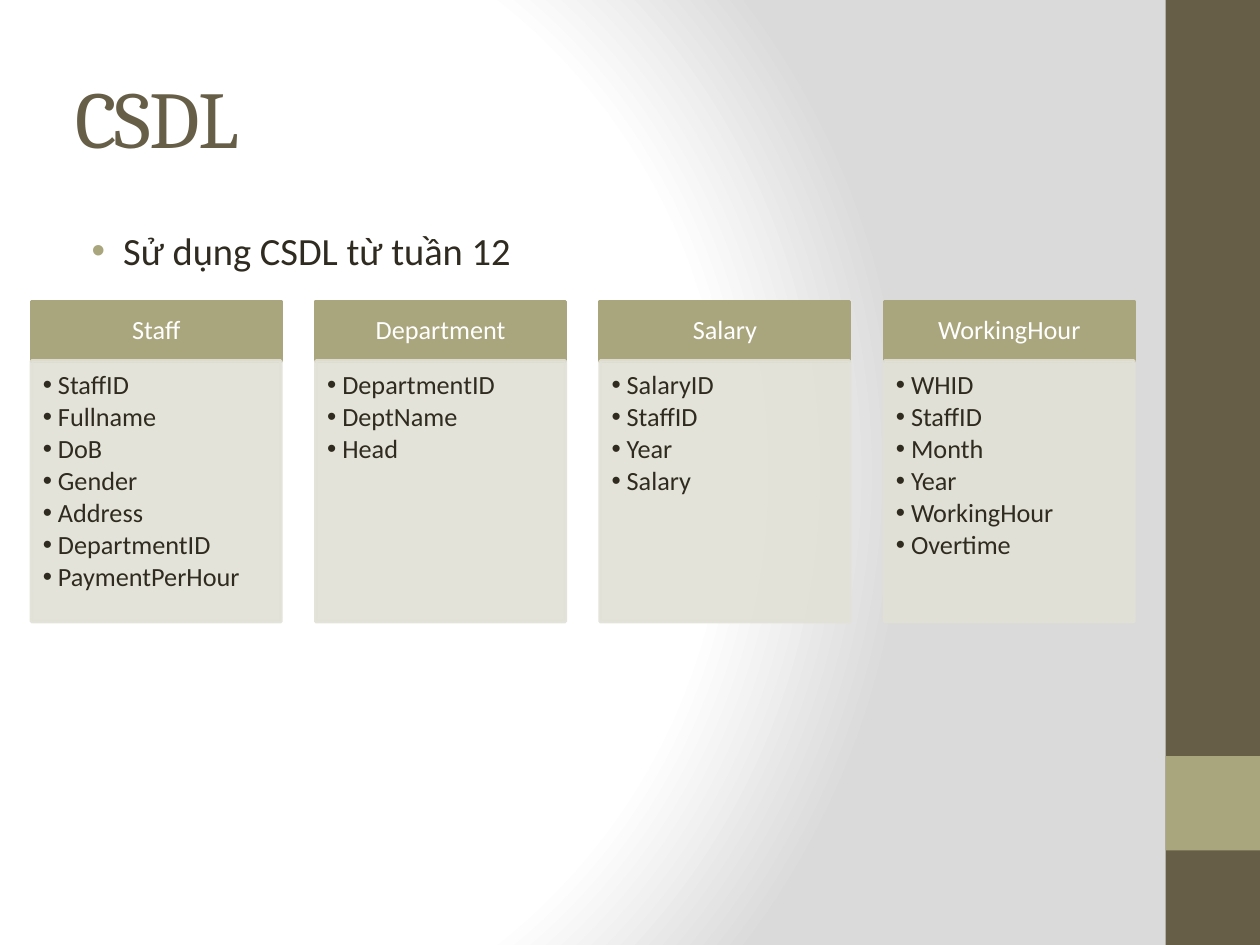
from lxml import etree
from pptx import Presentation
from pptx import util as u
from pptx.dml.color import RGBColor
from pptx.enum import shapes, text
from pptx.oxml import parse_xml
from pptx.oxml.ns import nsdecls, qn

COLORS = {"brown": "675E47", "olive": "A9A57C", "pale": "E2E1D7",
          "ink": "2F2B20", "white": "FFFFFF", "gray": "DADADA"}
TABLES = {
    "Staff": ["StaffID", "Fullname", "DoB", "Gender", "Address",
              "DepartmentID", "PaymentPerHour"],
    "Department": ["DepartmentID", "DeptName", "Head"],
    "Salary": ["SalaryID", "StaffID", "Year", "Salary"],
    "WorkingHour": ["WHID", "StaffID", "Month", "Year", "WorkingHour", "Overtime"],
}


def write(frame, lines, size=15, font="Calibri", color="ink", align="LEFT",
          anchor="TOP", insets=(0.1, 0.05, 0.1, 0.05), leading=None,
          before=0, after=0, tracking=None, indent=0, bullet=None):
    """Fill a text frame with one paragraph per line."""
    frame.word_wrap = True
    frame.vertical_anchor = text.MSO_ANCHOR[anchor]
    for side, inset in zip(("left", "top", "right", "bottom"), insets):
        setattr(frame, "margin_" + side, u.Inches(inset[0] if isinstance(inset, tuple) else inset))
    for index, line in enumerate(lines):
        para = frame.add_paragraph() if index else frame.paragraphs[0]
        para.alignment = text.PP_ALIGN[align]
        para.line_spacing = leading
        para.space_before, para.space_after = u.Pt(before), u.Pt(after)
        span = para.add_run()
        span.text = line
        span.font.size, span.font.name = u.Pt(size), font
        span.font.color.rgb = RGBColor.from_string(COLORS[color])
        if tracking:
            span.font._element.set("spc", str(int(tracking * 100)))
        if bullet:
            left, hang = indent
            props = para._p.get_or_add_pPr()
            props.set("marL", str(u.Inches(left)))
            props.set("indent", str(-u.Inches(hang)))
            tint = etree.SubElement(props, qn("a:buClr"))
            etree.SubElement(tint, qn("a:srgbClr"), val=COLORS[bullet])
            etree.SubElement(props, qn("a:buFont"), typeface="Arial")
            etree.SubElement(props, qn("a:buChar"), char="•")


class Board:
    """Holds the style and the current slide."""

    def __init__(self, deck):
        self.page = deck.slides.add_slide(deck.slide_layouts[6])
        self.width, self.height = deck.slide_width, deck.slide_height

    def place(self, left, top, width, height):
        """Turn shares of the slide into lengths."""
        return [round(share * side) for share, side in zip(
            (left, top, width, height), (self.width, self.height) * 2)]

    def backdrop(self, inner, outer):
        stops = "".join(
            f'<a:gs pos="{pos}000"><a:srgbClr val="{COLORS[name]}"/></a:gs>'
            for pos, name in ((0, inner), (75, inner), (100, outer)))
        self.page._element.cSld.insert(0, parse_xml(
            f'<p:bg {nsdecls("p", "a")}><p:bgPr><a:gradFill rotWithShape="1">'
            f'<a:gsLst>{stops}</a:gsLst><a:path path="circle">'
            '<a:fillToRect l="20000" t="50000" r="100000" b="50000"/></a:path>'
            '</a:gradFill><a:effectLst/></p:bgPr></p:bg>'))

    def block(self, area, color, outline=None, alpha=None):
        box = self.page.shapes.add_shape(
            shapes.MSO_SHAPE.RECTANGLE, *self.place(*area))
        box.shadow.inherit = False
        box.fill.solid()
        box.fill.fore_color.rgb = RGBColor.from_string(COLORS[color])
        if outline:
            box.line.width = u.Pt(outline)
            box.line.color.rgb = RGBColor.from_string(COLORS[color])
        else:
            box.line.fill.background()
        if alpha:
            for tint in box._element.spPr.iter(qn("a:srgbClr")):
                etree.SubElement(tint, qn("a:alpha"), val=str(alpha * 1000))
        return box

    def label(self, area, line, **style):
        box = self.page.shapes.add_textbox(*self.place(*area))
        write(box.text_frame, [line], **style)

    def card(self, left, top, width, name, fields):
        head, body = 0.063, 0.276
        header = self.block((left, top, width, head), "olive", outline=2)
        write(header.text_frame, [name], color="white", align="CENTER",
              anchor="MIDDLE", insets=(0.12, 0.07, 0.12, 0.07), leading=0.9)
        panel = self.block((left, top + head, width, body), "pale",
                           outline=2, alpha=90)
        write(panel.text_frame, fields, insets=(0.09, 0.09, 0.12, 0.13),
              leading=0.9, after=2, indent=(0.12, 0.12), bullet="ink")


deck = Presentation()
deck.slide_width, deck.slide_height = u.Inches(10), u.Inches(7.5)
board = Board(deck)

# Background and side band
board.backdrop("white", "gray")
board.block((0.925, 0, 0.075, 1), "brown")
board.block((0.925, 0.8, 0.075, 0.1), "olive")

# Title and lead line
board.label((0.05, 0.04, 0.833, 0.167), "CSDL", size=46, font="Cambria",
            color="brown", anchor="MIDDLE", tracking=-1)
board.label((0.05, 0.2333, 0.833, 0.7), "Sử dụng CSDL từ tuần 12", size=22,
            before=4.4, indent=(0.38, 0.25), bullet="olive")

# One card per database table, spread evenly
first, last, card_width = 0.025, 0.702, 0.198
step = (last - first) / (len(TABLES) - 1)
for column, (name, fields) in enumerate(TABLES.items()):
    board.card(first + column * step, 0.319, card_width, name, fields)

deck.save("out.pptx")
